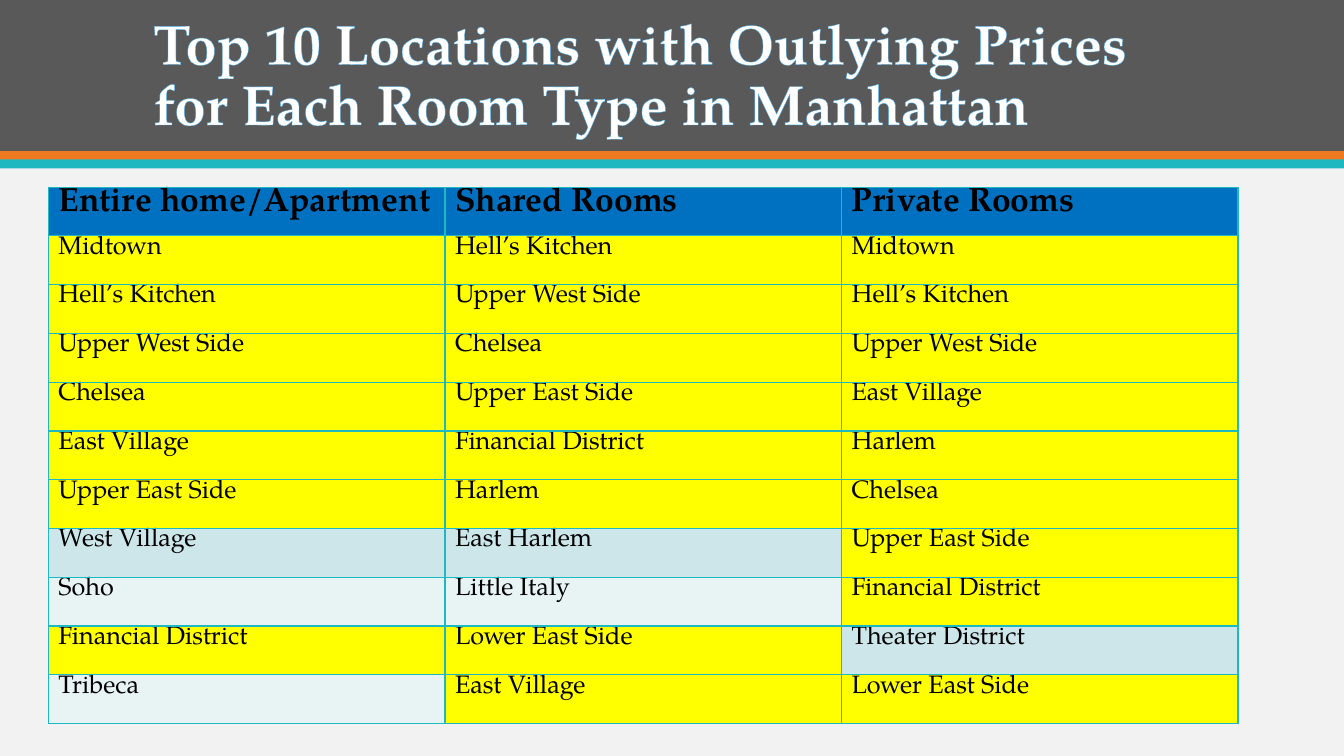
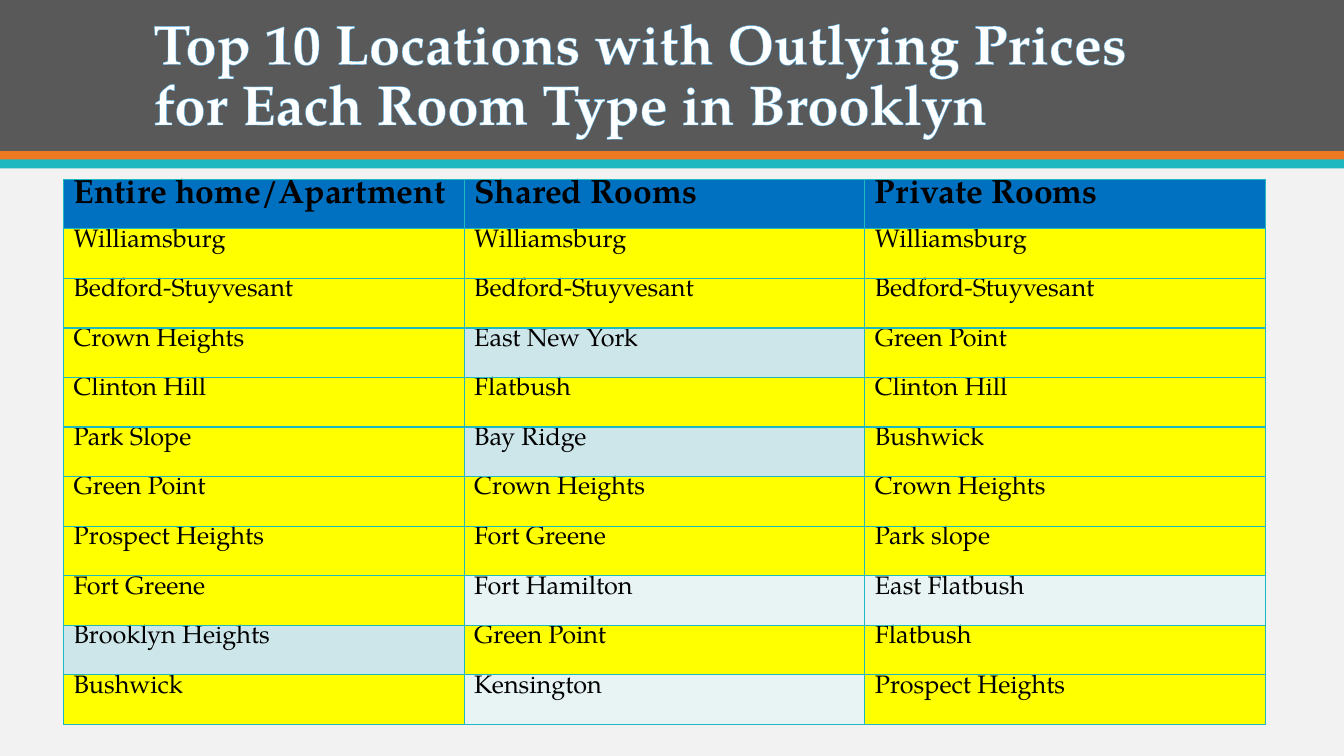
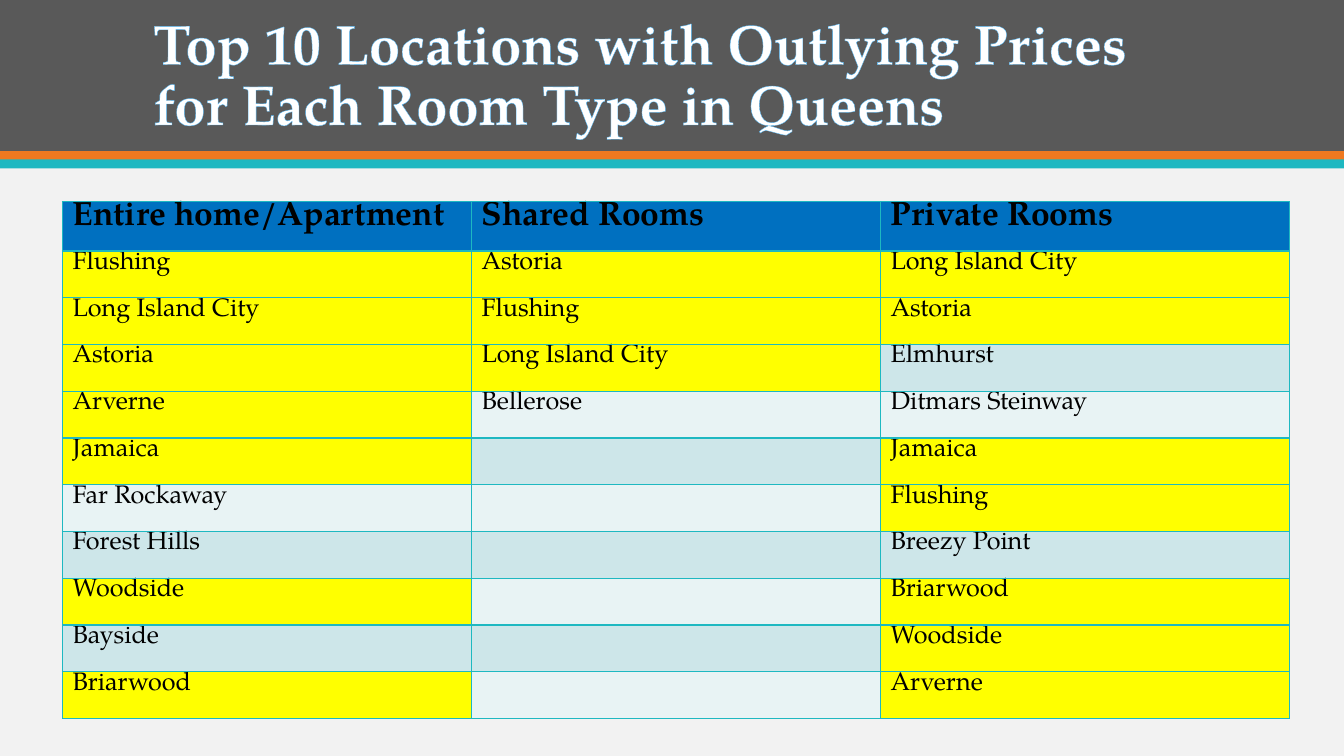
from collections import Counter

from lxml import etree
from pptx import Presentation
from pptx.dml.color import RGBColor
from pptx.enum import shapes, text
from pptx.oxml.ns import qn
from pptx.util import Inches, Pt

FONT = "TeX Gyre Pagella"
PAGE = RGBColor(0xF2, 0xF2, 0xF2)
GREY = RGBColor(0x59, 0x59, 0x59)
ORANGE = RGBColor(0xEF, 0x79, 0x20)
TEAL = RGBColor(0x1E, 0xB8, 0xC1)
SKY = RGBColor(0x50, 0xB4, 0xF2)
BLUE = RGBColor(0x00, 0x70, 0xC0)
YELLOW = RGBColor(0xFF, 0xFF, 0x00)
ROW_TINTS = (RGBColor(0xE8, 0xF3, 0xF4), RGBColor(0xCD, 0xE6, 0xE9))
WHITE = RGBColor(0xFF, 0xFF, 0xFF)
BLACK = RGBColor(0x00, 0x00, 0x00)

SLIDE_WIDTH, SLIDE_HEIGHT = 13.33, 7.5
BANDS = [(0, 1.5, GREY), (1.5, 0.09, ORANGE), (1.58, 0.09, TEAL)]
TITLE_BOX = (1.42, 0.28, 10.5, 1.13)
TITLE = "Top 10 Locations with Outlying Prices for Each Room Type in {}"
ROOM_TYPES = ["Entire home/Apartment", "Shared Rooms", "Private Rooms"]
ROW_COUNT = 10

# Each box is left, top, width, height; each list of places is one room type.
BOROUGHS = [
    {
        "name": "Manhattan",
        "box": (0.48, 1.86, 11.8, 5.32),
        "header": 0.48,
        "places": [
            ["Midtown", "Hell’s Kitchen", "Upper West Side", "Chelsea", "East Village",
             "Upper East Side", "West Village", "Soho", "Financial District", "Tribeca"],
            ["Hell’s Kitchen", "Upper West Side", "Chelsea", "Upper East Side",
             "Financial District", "Harlem", "East Harlem", "Little Italy",
             "Lower East Side", "East Village"],
            ["Midtown", "Hell’s Kitchen", "Upper West Side", "East Village", "Harlem",
             "Chelsea", "Upper East Side", "Financial District", "Theater District",
             "Lower East Side"],
        ],
    },
    {
        "name": "Brooklyn",
        "box": (0.63, 1.78, 11.92, 5.41),
        "header": 0.49,
        "places": [
            ["Williamsburg", "Bedford-Stuyvesant", "Crown Heights", "Clinton Hill",
             "Park Slope", "Green Point", "Prospect Heights", "Fort Greene",
             "Brooklyn Heights", "Bushwick"],
            ["Williamsburg", "Bedford-Stuyvesant", "East New York", "Flatbush",
             "Bay Ridge", "Crown Heights", "Fort Greene", "Fort Hamilton",
             "Green Point", "Kensington"],
            ["Williamsburg", "Bedford-Stuyvesant", "Green Point", "Clinton Hill",
             "Bushwick", "Crown Heights", "Park slope", "East Flatbush", "Flatbush",
             "Prospect Heights"],
        ],
    },
    {
        "name": "Queens",
        "box": (0.62, 2, 12.17, 5.13),
        "header": 0.49,
        "places": [
            ["Flushing", "Long Island City", "Astoria", "Arverne", "Jamaica",
             "Far Rockaway", "Forest Hills", "Woodside", "Bayside", "Briarwood"],
            ["Astoria", "Flushing", "Long Island City", "Bellerose"],
            ["Long Island City", "Astoria", "Elmhurst", "Ditmars Steinway", "Jamaica",
             "Flushing", "Breezy Point", "Briarwood", "Woodside", "Arverne"],
        ],
    },
]


def add_line(parent, tag, color, width):
    line = etree.SubElement(parent, qn(tag), w=str(Pt(width)))
    fill = etree.SubElement(line, qn("a:solidFill"))
    etree.SubElement(fill, qn("a:srgbClr"), val=str(color))
    return line


def write(frame, words, size=18, color=BLACK, bold=False, spacing=None, outline=None):
    paragraph = frame.paragraphs[0]
    paragraph.line_spacing = spacing
    run = paragraph.add_run()
    run.text = words
    font = run.font
    font.name, font.size, font.bold = FONT, Pt(size), bold
    font.color.rgb = color
    if outline:
        properties = run.font._element
        properties.insert(0, add_line(properties, "a:ln", outline, 0.8))


def dress_layout(layout, slide):
    """Draw the bands on the slide, then move them behind the layout's placeholders."""
    fill = layout.background.fill
    fill.solid()
    fill.fore_color.rgb = PAGE
    for index, (top, height, color) in enumerate(BANDS):
        band = slide.shapes.add_shape(
            shapes.MSO_SHAPE.RECTANGLE, 0, Inches(top), Inches(SLIDE_WIDTH), Inches(height))
        band.shadow.inherit = False
        band.fill.solid()
        band.fill.fore_color.rgb = color
        band.line.fill.background()
        layout.shapes.element.insert(2 + index, band.element)


def set_title(slide, words):
    title = slide.shapes.title
    title.left, title.top, title.width, title.height = map(Inches, TITLE_BOX)
    frame = title.text_frame
    frame.word_wrap = True
    frame.auto_size = text.MSO_AUTO_SIZE.NONE
    frame.vertical_anchor = text.MSO_ANCHOR.BOTTOM
    write(frame, words, size=40, color=WHITE, bold=True, spacing=0.9, outline=SKY)
    frame.paragraphs[0].alignment = text.PP_ALIGN.LEFT


def format_cell(cell, color):
    cell.margin_top = cell.margin_bottom = 0
    properties = cell._tc.get_or_add_tcPr()
    for side in ("L", "R", "T", "B"):
        add_line(properties, "a:ln" + side, TEAL, 1)
    cell.fill.solid()
    cell.fill.fore_color.rgb = color


def add_places_table(slide, box, header, places):
    """Highlight the places that are listed under more than one room type."""
    counts = Counter(place.lower() for column in places for place in column)
    table = slide.shapes.add_table(
        ROW_COUNT + 1, len(ROOM_TYPES), *map(Inches, box)).table
    table.rows[0].height = Inches(header)
    for row in list(table.rows)[1:]:
        row.height = Inches((box[3] - header) / ROW_COUNT)
    for column, (room_type, names) in enumerate(zip(ROOM_TYPES, places)):
        heading = table.cell(0, column)
        format_cell(heading, BLUE)
        write(heading.text_frame, room_type, size=24, bold=True)
        for row in range(1, ROW_COUNT + 1):
            name = names[row - 1] if row <= len(names) else ""
            cell = table.cell(row, column)
            shared = counts[name.lower()] > 1
            format_cell(cell, YELLOW if shared else ROW_TINTS[row % 2])
            if name:
                write(cell.text_frame, name)


def main():
    presentation = Presentation()
    presentation.slide_width = Inches(SLIDE_WIDTH)
    presentation.slide_height = Inches(SLIDE_HEIGHT)
    layout = presentation.slide_layouts.get_by_name("Title Only")
    for borough in BOROUGHS:
        slide = presentation.slides.add_slide(layout)
        set_title(slide, TITLE.format(borough["name"]))
        add_places_table(slide, borough["box"], borough["header"], borough["places"])
    dress_layout(layout, presentation.slides[0])
    presentation.save("out.pptx")


if __name__ == "__main__":
    main()
